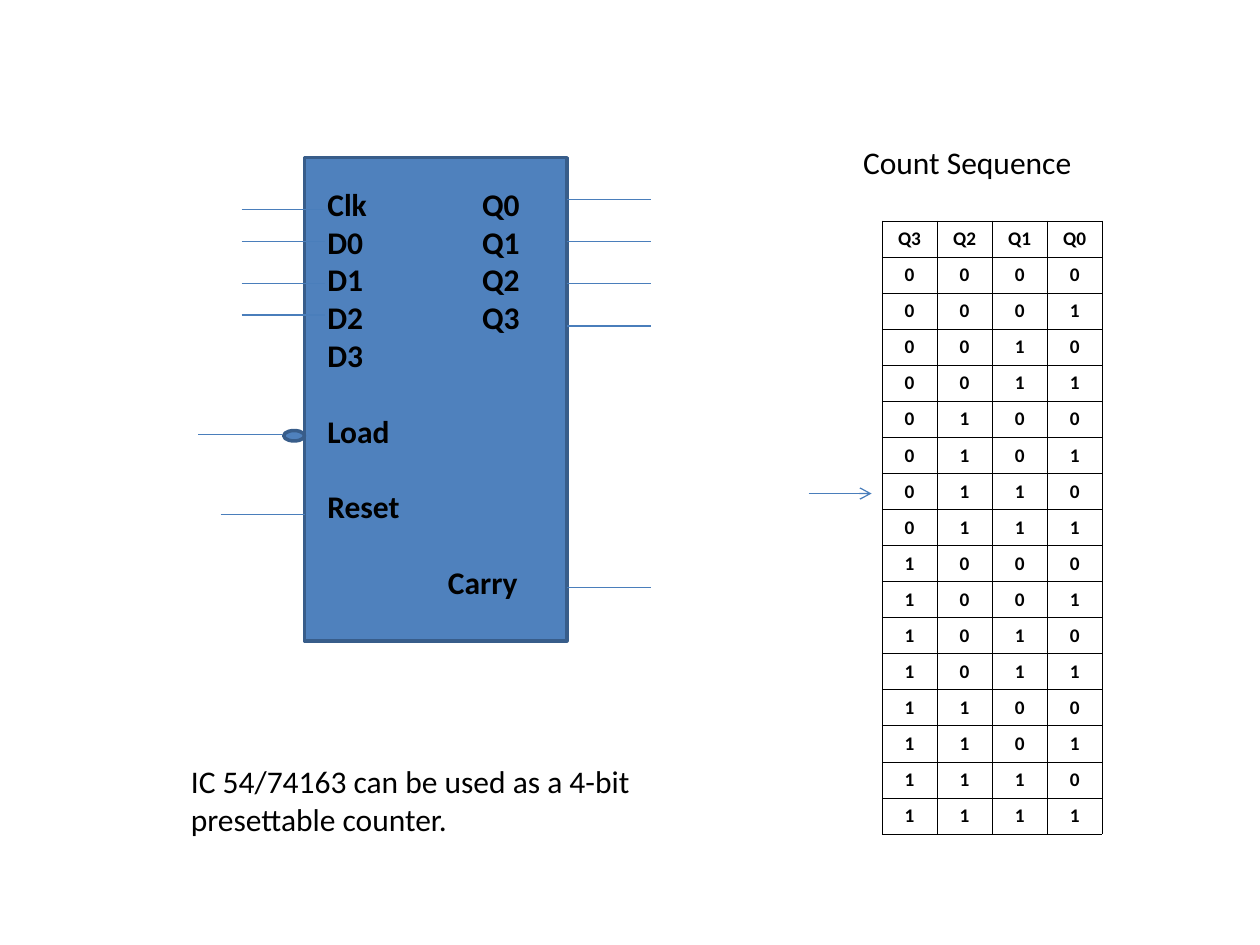
"""Build the slide on the 4-bit presettable counter: its pins and its count sequence."""
from itertools import product

from lxml.etree import SubElement
from pptx import Presentation
from pptx.dml.color import RGBColor
from pptx.enum.shapes import MSO_CONNECTOR as Connector, MSO_SHAPE as Shape
from pptx.enum.text import MSO_ANCHOR as Anchor, PP_ALIGN as Align
from pptx.oxml.ns import qn
from pptx.util import Cm, Pt

HEADING = "Count Sequence"
CAPTION = "IC 54/74163 can be used as a 4-bit presettable counter."
OUTPUT_TAB, CARRY_TAB = 3.12, 2.43
LINE_PITCH = 21.6
PIN_LABELS = [
    ("Clk\tQ0", OUTPUT_TAB, 0),
    ("D0\tQ1", OUTPUT_TAB, 0),
    ("D1\tQ2", OUTPUT_TAB, 0),
    ("D2\tQ3", OUTPUT_TAB, 0),
    ("D3", None, 0),
    ("Load", None, LINE_PITCH),
    ("Reset", None, LINE_PITCH),
    ("\tCarry", CARRY_TAB, LINE_PITCH),
]
BITS = ("Q3", "Q2", "Q1", "Q0")
COUNT_ROWS = [BITS, *product("01", repeat=len(BITS))]

CHIP = (6.14, 3.18, 5.29, 9.74)
CHIP_RIGHT = CHIP[0] + CHIP[2]
BUBBLE = (5.72, 8.68, 0.42, 0.21)
WIRE_LENGTH = 1.69
INPUT_WIRES = [(4.87, y) for y in (4.23, 4.87, 5.72, 6.35)]
CONTROL_WIRES = [(4, 8.76), (4.45, 10.37)]
OUTPUT_WIRES = [(CHIP_RIGHT, 4.02 + 0.85 * i) for i in range(len(BITS))]
CARRY_WIRE = (CHIP_RIGHT, 11.85)
STATE_ARROW = (16.3, 9.95, 1.27)
TABLE_LEFT, TABLE_TOP, COLUMN_WIDTH, ROW_HEIGHT = 17.78, 4.45, 1.11, 0.53


def color(hex_code):
    return RGBColor.from_string(hex_code)


def add_run(paragraph, text, size=18, bold=False):
    run = paragraph.add_run()
    run.text = text
    run.font.name = "Calibri"
    run.font.size = Pt(size)
    run.font.bold = bold
    run.font.color.rgb = color("000000")


def add_part(slide, kind, frame):
    part = slide.shapes.add_shape(kind, *map(Cm, frame))
    part.shadow.inherit = False
    part.fill.solid()
    part.fill.fore_color.rgb = color("4F81BD")
    part.line.color.rgb = color("385D8A")
    part.line.width = Pt(2)


def add_wire(slide, x, y, length=WIRE_LENGTH, arrow=False):
    wire = slide.shapes.add_connector(
        Connector.STRAIGHT, Cm(x), Cm(y), Cm(x + length), Cm(y))
    wire.line.color.rgb = color("4A7EBB")
    wire.line.width = Pt(0.75)
    properties = wire.element.spPr
    if arrow:
        SubElement(properties.find(qn("a:ln")), qn("a:tailEnd"), type="arrow")
    SubElement(properties, qn("a:effectLst"))


def add_text(slide, frame, lines, bold=False):
    text_frame = slide.shapes.add_textbox(*map(Cm, frame)).text_frame
    text_frame.word_wrap = True
    for i, (text, tab, gap) in enumerate(lines):
        paragraph = text_frame.add_paragraph() if i else text_frame.paragraphs[0]
        if gap:
            paragraph.space_before = Pt(gap)
        if tab:
            stops = SubElement(paragraph._p.get_or_add_pPr(), qn("a:tabLst"))
            SubElement(stops, qn("a:tab"), pos=str(Cm(tab)), algn="l")
        add_run(paragraph, text, bold=bold)


def fill_cell(cell, text):
    cell.margin_left = cell.margin_right = Cm(0.03)
    cell.margin_top = cell.margin_bottom = Cm(0.13)
    cell.vertical_anchor = Anchor.BOTTOM
    properties = cell._tc.get_or_add_tcPr()
    for side in ("lnL", "lnR", "lnT", "lnB"):
        border = SubElement(properties, qn(f"a:{side}"), w=str(Pt(0.23)))
        SubElement(SubElement(border, qn("a:solidFill")), qn("a:srgbClr"), val="000000")
    cell.fill.background()
    paragraph = cell.text_frame.paragraphs[0]
    paragraph.alignment = Align.CENTER
    add_run(paragraph, text, size=11, bold=True)


def add_count_table(slide):
    rows, columns = len(COUNT_ROWS), len(BITS)
    table = slide.shapes.add_table(
        rows, columns, Cm(TABLE_LEFT), Cm(TABLE_TOP),
        Cm(COLUMN_WIDTH * columns), Cm(ROW_HEIGHT * rows)).table
    table.first_row = table.horz_banding = False
    for column in table.columns:
        column.width = Cm(COLUMN_WIDTH)
    for row, values in zip(table.rows, COUNT_ROWS):
        row.height = Cm(ROW_HEIGHT)
        for cell, value in zip(row.cells, values):
            fill_cell(cell, value)


def main():
    deck = Presentation()
    deck.slide_width, deck.slide_height = Cm(25.4), Cm(19.05)
    slide = deck.slides.add_slide(deck.slide_layouts[6])
    add_part(slide, Shape.RECTANGLE, CHIP)
    add_text(slide, (6.35, 3.6, 4.45, 8.64), PIN_LABELS, bold=True)
    for x, y in [*INPUT_WIRES, *CONTROL_WIRES, CARRY_WIRE, *OUTPUT_WIRES]:
        add_wire(slide, x, y)
    add_part(slide, Shape.OVAL, BUBBLE)
    add_count_table(slide)
    add_text(slide, (17.15, 2.75, 5.93, 1.03), [(HEADING, None, 0)])
    add_wire(slide, *STATE_ARROW, arrow=True)
    add_text(slide, (3.6, 15.24, 10.16, 1.79), [(CAPTION, None, 0)])
    deck.save("out.pptx")


if __name__ == "__main__":
    main()
